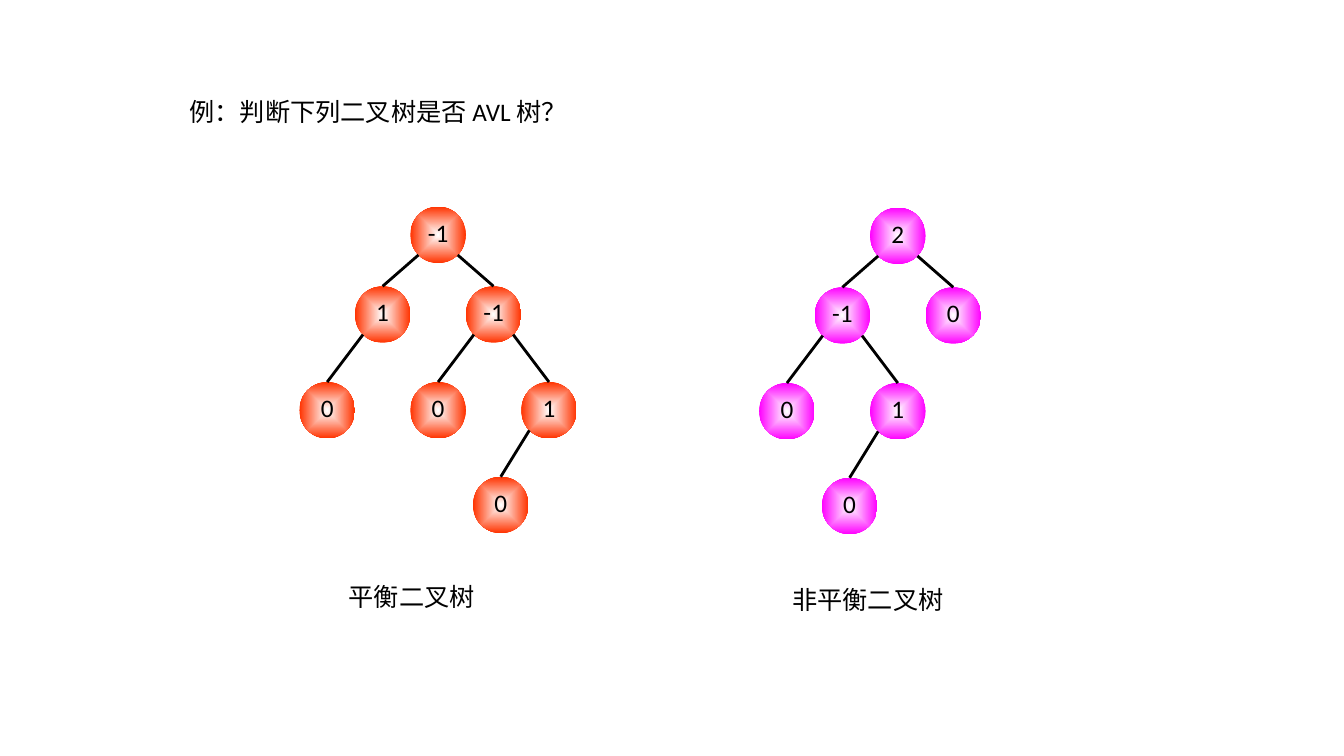
from lxml import etree
from pptx import Presentation
from pptx.dml.color import RGBColor
from pptx.enum.shapes import MSO_CONNECTOR, MSO_SHAPE
from pptx.enum.text import MSO_ANCHOR, MSO_AUTO_SIZE, PP_ALIGN
from pptx.oxml.ns import qn
from pptx.util import Emu, Pt

ELLIPSE = MSO_SHAPE.OVAL
STRAIGHT = MSO_CONNECTOR.STRAIGHT
TOP, MIDDLE = MSO_ANCHOR.TOP, MSO_ANCHOR.MIDDLE
LEFT, CENTER = PP_ALIGN.LEFT, PP_ALIGN.CENTER
FIT_SHAPE = MSO_AUTO_SIZE.SHAPE_TO_FIT_TEXT
TITLE_ONLY_LAYOUT = 5

EMU_PER_PX = 9144  # 100 px to the inch
LATIN_FONT, CHINESE_FONT = "Calibri", "Noto Sans CJK SC"
BLACK, WHITE, ORANGE, MAGENTA = "000000", "FFFFFF", "FF3300", "FF00FF"

NODE_WIDTH, NODE_HEIGHT = 55, 56
COLUMN = 55
LEVEL_TOPS = [0, 79, 174, 268]
EDGE_INSET, EDGE_DROP = 8, 48

# Each node: label, level, column, index of its parent
BALANCED = [("-1", 0, 2, None), ("1", 1, 1, 0), ("-1", 1, 3, 0), ("0", 2, 0, 1),
            ("0", 2, 2, 2), ("1", 2, 4, 2), ("0", 3, 3.13, 5)]
UNBALANCED = [("2", 0, 2, None), ("-1", 1, 1, 0), ("0", 1, 3, 0), ("0", 2, 0, 1),
              ("1", 2, 2, 1), ("0", 3, 1.13, 4)]


def px(length):
    return Emu(round(length * EMU_PER_PX))


def rgb(color):
    return RGBColor.from_string(color)


def add_text(text_frame, text, font_name, alignment=LEFT):
    paragraph = text_frame.paragraphs[0]
    paragraph.alignment = alignment
    run = paragraph.add_run()
    run.text = text
    run.font.name = font_name
    run.font.size = Pt(18)
    run.font.color.rgb = rgb(BLACK)
    return paragraph


def fill_radial(shape, inner, outer):
    """Fill with a gradient that runs from the centre to the rim."""
    shape.fill.gradient()
    for stop, color, position in zip(shape.fill.gradient_stops, (inner, outer), (0, 1)):
        stop.color.rgb = rgb(color)
        stop.position = position
    gradient = shape._element.spPr.find(qn("a:gradFill"))
    linear = gradient.find(qn("a:lin"))
    radial = etree.Element(qn("a:path"), {"path": "shape"})
    etree.SubElement(radial, qn("a:fillToRect"), dict.fromkeys("ltrb", "50000"))
    gradient.replace(linear, radial)


def add_node(group, left, top, label, color):
    node = group.shapes.add_shape(ELLIPSE, px(left), px(top), px(NODE_WIDTH), px(NODE_HEIGHT))
    node.shadow.inherit = False
    fill_radial(node, WHITE, color)
    node.line.fill.background()
    node.text_frame.word_wrap = False
    node.text_frame.vertical_anchor = MIDDLE
    add_text(node.text_frame, label, LATIN_FONT, CENTER).line_spacing = 0.8
    return node


def add_edge(group, parent, child):
    """Join the parent's lower left or right rim to the top of the child."""
    goes_left = child.left < parent.left
    start_x = parent.left + px(EDGE_INSET if goes_left else NODE_WIDTH - EDGE_INSET)
    start_y = parent.top + px(EDGE_DROP)
    edge = group.shapes.add_connector(STRAIGHT, start_x, start_y,
                                      child.left + child.width // 2, child.top)
    edge.end_connect(child, 0)
    edge.line.color.rgb = rgb(BLACK)
    edge.line.width = Pt(2)
    etree.SubElement(edge._element.spPr, qn("a:effectLst"))


def add_tree(slide, left, top, tree, color):
    group = slide.shapes.add_group_shape()
    nodes = []
    for label, level, column, parent in tree:
        node = add_node(group, left + column * COLUMN, top + LEVEL_TOPS[level], label, color)
        nodes.append(node)
        if parent is not None:
            add_edge(group, nodes[parent], node)


def add_caption(slide, left, top, width, height, text):
    caption = slide.shapes.add_textbox(px(left), px(top), px(width), px(height))
    caption.text_frame.word_wrap = True
    caption.text_frame.auto_size = FIT_SHAPE
    add_text(caption.text_frame, text, CHINESE_FONT)


def set_title(slide, left, top, width, height, text):
    title = slide.shapes.title
    title.left, title.top, title.width, title.height = map(px, (left, top, width, height))
    title.text_frame.word_wrap = True
    title.text_frame.auto_size = FIT_SHAPE
    title.text_frame.vertical_anchor = TOP
    add_text(title.text_frame, text, LATIN_FONT)


def main():
    presentation = Presentation()
    presentation.slide_width, presentation.slide_height = px(1333), px(750)
    slide = presentation.slides.add_slide(presentation.slide_layouts[TITLE_ONLY_LAYOUT])
    set_title(slide, 178, 91, 567, 40, "例：判断下列二叉树是否 AVL 树？")
    add_tree(slide, 297, 205, BALANCED, ORANGE)
    add_caption(slide, 336, 572, 189, 40, "平衡二叉树")
    add_tree(slide, 753, 206, UNBALANCED, MAGENTA)
    add_caption(slide, 776, 575, 229, 40, "非平衡二叉树")
    presentation.save("out.pptx")


if __name__ == "__main__":
    main()
